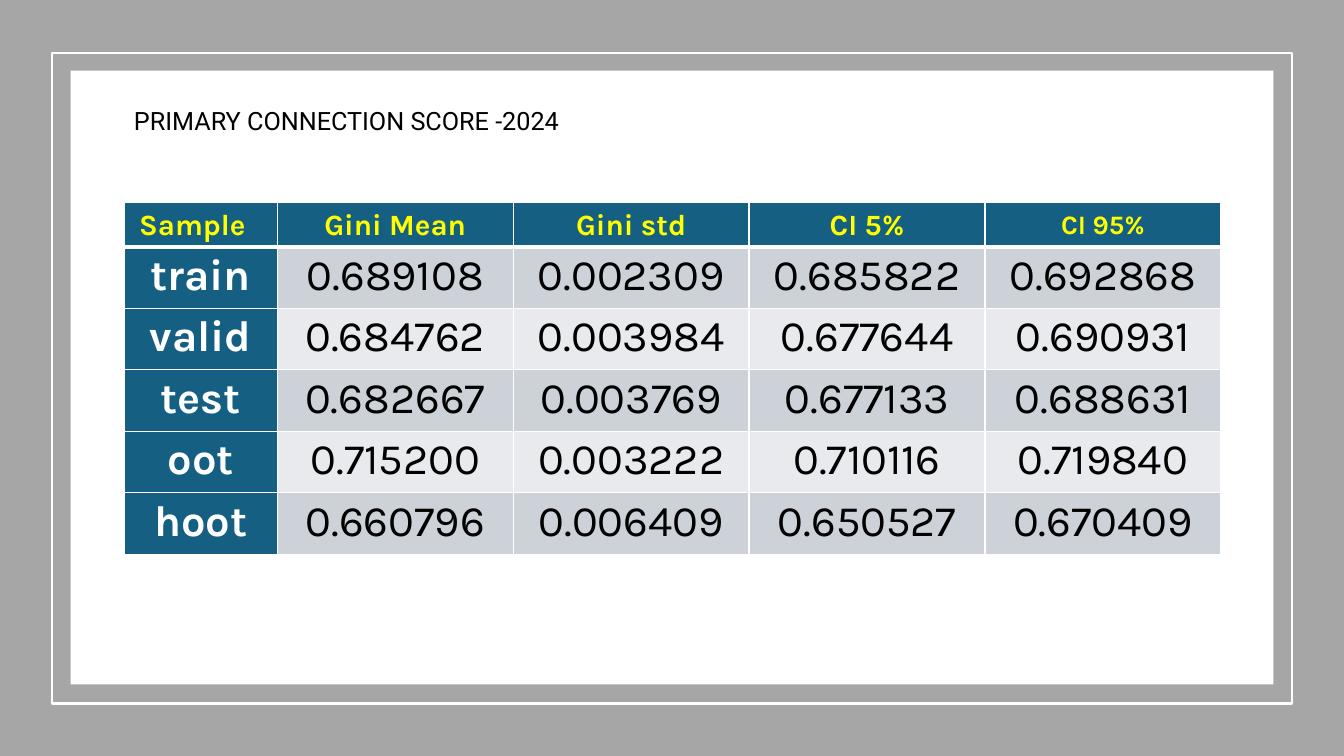
from lxml import etree
from pptx import Presentation
from pptx.dml.color import RGBColor
from pptx.enum.shapes import MSO_SHAPE
from pptx.enum.text import MSO_ANCHOR, PP_ALIGN
from pptx.oxml.ns import qn
from pptx.util import Inches, Pt

RECT = MSO_SHAPE.RECTANGLE
TOP, MIDDLE = MSO_ANCHOR.TOP, MSO_ANCHOR.MIDDLE
LEFT, CENTER = PP_ALIGN.LEFT, PP_ALIGN.CENTER

WHITE = RGBColor(0xFF, 0xFF, 0xFF)
BLACK = RGBColor(0x00, 0x00, 0x00)
GRAY = RGBColor(0xA6, 0xA6, 0xA6)
BLUE = RGBColor(0x15, 0x60, 0x82)
YELLOW = RGBColor(0xFF, 0xFF, 0x00)
BANDS = [RGBColor(0xCC, 0xD2, 0xD8), RGBColor(0xE8, 0xEA, 0xED)]

ROWS = [
    ["Sample", "Gini Mean", "Gini std", "CI 5%", "CI 95%"],
    ["train", "0.689108", "0.002309", "0.685822", "0.692868"],
    ["valid", "0.684762", "0.003984", "0.677644", "0.690931"],
    ["test", "0.682667", "0.003769", "0.677133", "0.688631"],
    ["oot", "0.715200", "0.003222", "0.710116", "0.719840"],
    ["hoot", "0.660796", "0.006409", "0.650527", "0.670409"],
]


def add_run(p, text, color, **font):
    r = p.add_run()
    r.text = text
    r.font.color.rgb = color
    for name, value in font.items():
        setattr(r.font, name, value)


def add_border(cell, side, width):
    ln = etree.SubElement(cell._tc.get_or_add_tcPr(), qn(f"a:ln{side}"), w=str(Pt(width)))
    fill = etree.SubElement(ln, qn("a:solidFill"))
    etree.SubElement(fill, qn("a:srgbClr"), val=str(WHITE))


prs = Presentation()
prs.slide_width = Inches(13.33)
prs.slide_height = Inches(7.5)
s = prs.slides.add_slide(prs.slide_layouts[6])

frames = [
    ((0, 0, 13.33, 7.5), GRAY, None),
    ((0.52, 0.53, 12.29, 6.45), None, WHITE),
    ((0.7, 0.7, 11.93, 6.09), WHITE, None),
]
for box, fill, line in frames:
    sp = s.shapes.add_shape(RECT, *[Inches(v) for v in box])
    sp.shadow.inherit = False
    if fill is None:
        sp.fill.background()
    else:
        sp.fill.solid()
        sp.fill.fore_color.rgb = fill
    if line is None:
        sp.line.fill.background()
    else:
        sp.line.color.rgb = line
        sp.line.width = Pt(1.5)

table = s.shapes.add_table(
    len(ROWS), len(ROWS[0]), Inches(1.23), Inches(2.01), Inches(10.88), Inches(3.49)
).table
for i, col in enumerate(table.columns):
    col.width = Inches(2.34 if i else 1.52)
for i, row in enumerate(table.rows):
    row.height = Inches(0.61 if i else 0.44)

cell_format = {
    "margin_left": Inches(0.15),
    "margin_right": Inches(0.15),
    "margin_top": 0,
    "margin_bottom": 0,
}
for i, row in enumerate(ROWS):
    for j, text in enumerate(row):
        cell = table.cell(i, j)
        for name, value in cell_format.items():
            setattr(cell, name, value)
        cell.vertical_anchor = TOP if i else MIDDLE
        borders = {"L": 1, "R": 1, "T": 3 if i == 1 else 1, "B": 1 if i else 3}
        for side, width in borders.items():
            add_border(cell, side, width)

        is_label = i == 0 or j == 0
        cell.fill.solid()
        cell.fill.fore_color.rgb = BLUE if is_label else BANDS[(i - 1) % 2]
        if i == 0:
            color, size = YELLOW, 19 if text == "CI 95%" else 21
        else:
            color, size = WHITE if j == 0 else BLACK, 31
        p = cell.text_frame.paragraphs[0]
        p.alignment = LEFT if i == j == 0 else CENTER
        p.line_spacing = 1.07
        add_run(p, text, color, size=Pt(size), name="Karla", bold=is_label)

title = s.shapes.add_textbox(Inches(1.23), Inches(1), Inches(6.64), Inches(0.71))
tf = title.text_frame
tf.word_wrap = True
add_run(tf.paragraphs[0], "PRIMARY CONNECTION SCORE -2024", BLACK, size=Pt(18), name="Roboto")

prs.save("out.pptx")
